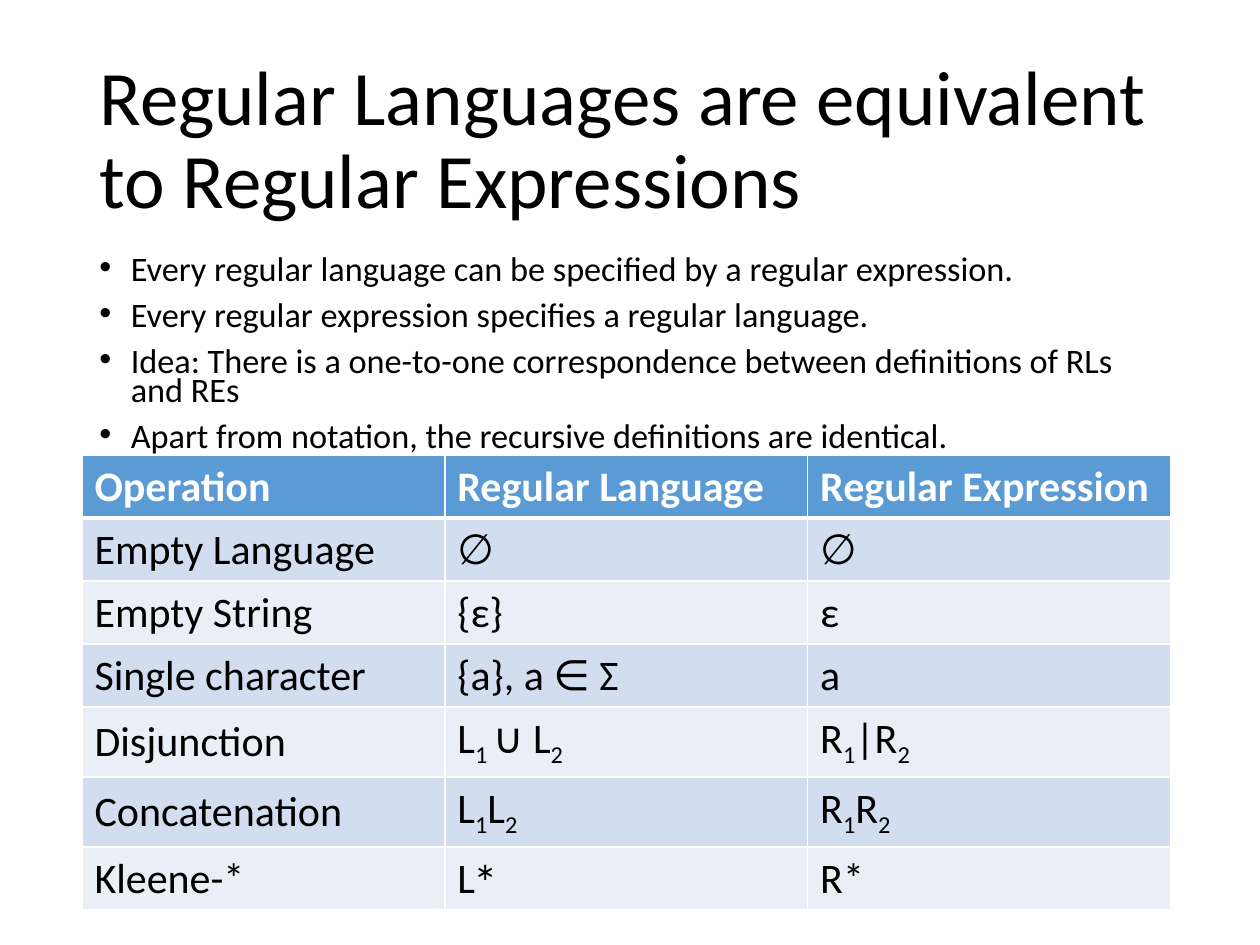
from lxml.etree import SubElement
from pptx import Presentation
from pptx.dml.color import RGBColor
from pptx.enum.text import MSO_ANCHOR, MSO_AUTO_SIZE, PP_ALIGN
from pptx.oxml import parse_xml
from pptx.oxml.ns import nsdecls, qn
from pptx.util import Inches, Pt

COLORS = {
    "text": "000000",
    "header": "5B9BD5",
    "odd": "D2DEEF",
    "even": "EAEFF7",
    "white": "FFFFFF",
}
FONT = "Calibri"
SUBSCRIPT = -25
SUPERSCRIPT = 30

TITLE = "Regular Languages are equivalent to Regular Expressions"
BULLETS = [
    "Every regular language can be specified by a regular expression.",
    "Every regular expression specifies a regular language.",
    "Idea: There is a one-to-one correspondence between definitions of RLs and REs",
    "Apart from notation, the recursive definitions are identical.",
]
ROWS = [
    ["Operation", "Regular Language", "Regular Expression"],
    ["Empty Language", "∅", "∅"],
    ["Empty String", "{ε}", "ε"],
    ["Single character", "{a}, a ∈ Σ", "a"],
    [
        "Disjunction",
        [("L", 0), ("1 ", SUBSCRIPT), ("∪ L", 0), ("2", SUBSCRIPT)],
        [("R", 0), ("1", SUBSCRIPT), ("|R", 0), ("2", SUBSCRIPT)],
    ],
    [
        "Concatenation",
        [("L", 0), ("1", SUBSCRIPT), ("L", 0), ("2", SUBSCRIPT)],
        [("R", 0), ("1", SUBSCRIPT), ("R", 0), ("2", SUBSCRIPT)],
    ],
    ["Kleene-*", [("L", 0), ("∗", SUPERSCRIPT)], "R*"],
]


def add_run(para, text, size, color="text", bold=False, baseline=0):
    run = para.add_run()
    run.text = text
    run.font.name = FONT
    run.font.size = Pt(size)
    run.font.bold = bold
    run.font.color.rgb = RGBColor.from_string(COLORS[color])
    if baseline:
        run._r.get_or_add_rPr().set("baseline", str(baseline * 1000))


def format_title(title):
    title.left, title.top = Inches(0.69), Inches(0.4)
    title.width, title.height = Inches(8.62), Inches(1.45)
    frame = title.text_frame
    frame.word_wrap = True
    frame.auto_size = MSO_AUTO_SIZE.NONE
    frame.vertical_anchor = MSO_ANCHOR.MIDDLE
    para = frame.paragraphs[0]
    para.alignment = PP_ALIGN.LEFT
    para.line_spacing = 0.9
    add_run(para, TITLE, 44)


def add_bullets(page, lines):
    box = page.shapes.add_textbox(Inches(0.69), Inches(2), Inches(8.62), Inches(1.73))
    frame = box.text_frame
    frame.word_wrap = True
    for index, line in enumerate(lines):
        para = frame.add_paragraph() if index else frame.paragraphs[0]
        para.line_spacing = 0.7
        para.space_before = Pt(10)
        properties = para._p.get_or_add_pPr()
        properties.set("marL", str(Inches(0.25)))
        properties.set("indent", str(-Inches(0.25)))
        SubElement(properties, qn("a:buFont")).set("typeface", "Arial")
        SubElement(properties, qn("a:buChar")).set("char", "•")
        add_run(para, line, 19.6)


def set_borders(cell, bottom_width):
    properties = cell._tc.get_or_add_tcPr()
    widths = {"lnL": 1, "lnR": 1, "lnT": 1, "lnB": bottom_width}
    for index, (side, width) in enumerate(widths.items()):
        border = parse_xml(
            f'<a:{side} {nsdecls("a")} w="{Pt(width)}"><a:solidFill>'
            f'<a:srgbClr val="{COLORS["white"]}"/></a:solidFill></a:{side}>'
        )
        properties.insert(index, border)


def fill_cell(cell, content, fill, is_header):
    cell.fill.solid()
    cell.fill.fore_color.rgb = RGBColor.from_string(COLORS[fill])
    cell.vertical_anchor = MSO_ANCHOR.MIDDLE
    set_borders(cell, 3 if is_header else 1)
    spans = [(content, 0)] if isinstance(content, str) else content
    para = cell.text_frame.paragraphs[0]
    for text, baseline in spans:
        add_run(para, text, 24, "white" if is_header else "text", is_header, baseline)


def add_operations_table(page, rows):
    frame = page.shapes.add_table(
        len(rows), len(rows[0]), Inches(0.65), Inches(3.61), Inches(8.62), Inches(2.41)
    )
    table = frame.table
    for column in table.columns:
        column.width = Inches(2.88)
    for row_index, contents in enumerate(rows):
        is_header = row_index == 0
        table.rows[row_index].height = Inches(0.43 if is_header else 0.33)
        fill = "header" if is_header else ("odd" if row_index % 2 else "even")
        for column_index, content in enumerate(contents):
            fill_cell(table.cell(row_index, column_index), content, fill, is_header)


def main():
    deck = Presentation()
    deck.slide_width, deck.slide_height = Inches(10), Inches(7.5)
    page = deck.slides.add_slide(deck.slide_layouts[5])
    format_title(page.shapes.title)
    add_bullets(page, BULLETS)
    add_operations_table(page, ROWS)
    deck.save("out.pptx")


if __name__ == "__main__":
    main()
